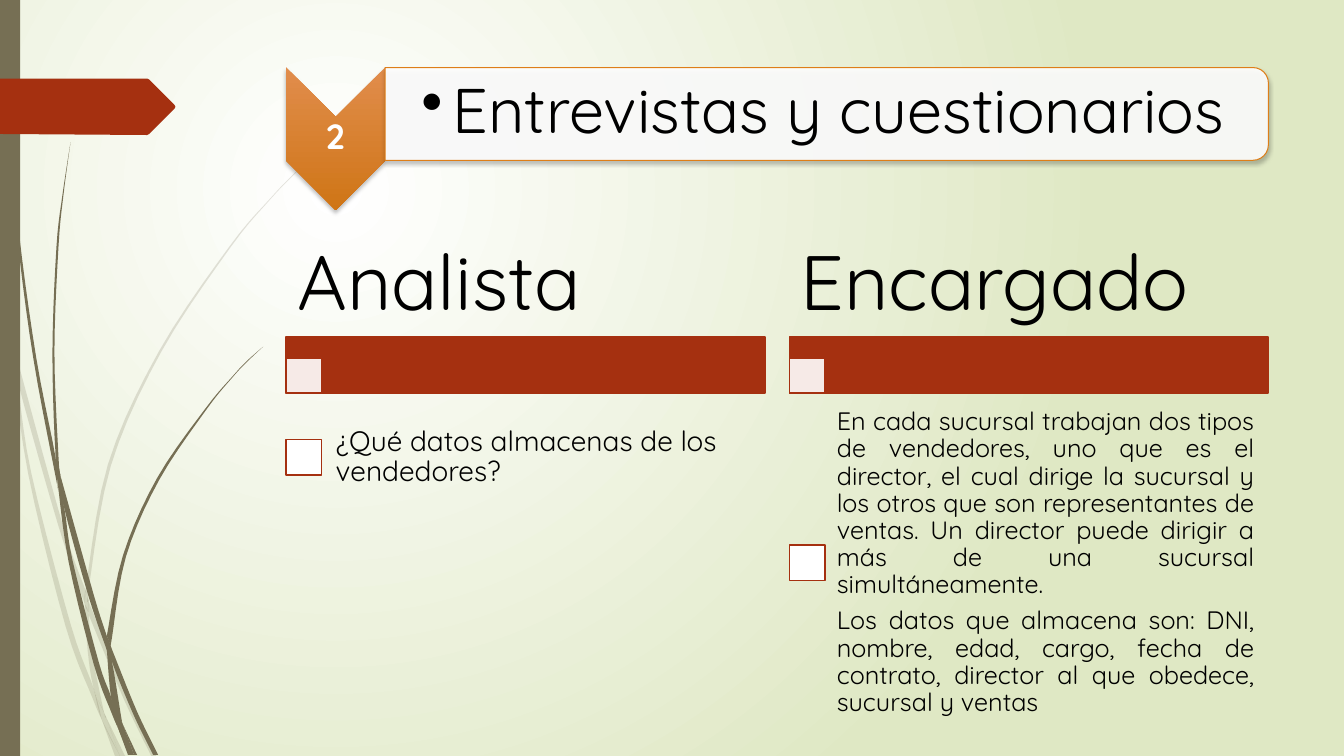
"""Build the slide on interviews and questionnaires: analyst and manager columns."""
from lxml import etree
from pptx import Presentation, util as u
from pptx.dml.color import RGBColor
from pptx.enum import shapes, text
from pptx.oxml import parse_xml
from pptx.oxml.ns import qn

NS = 'xmlns:a="http://schemas.openxmlformats.org/drawingml/2006/main"'
PNS = 'xmlns:p="http://schemas.openxmlformats.org/presentationml/2006/main"'
FONT = "Quicksand"
RUST, BROWN, WHITE, BLACK, ORANGE = "A53010", "766F54", "FFFFFF", "000000", "DE7E18"

NUMBER, TITLE = "2", "Entrevistas y cuestionarios"
COLUMNS = [
    dict(head="Analista", size=20, inset=0.16, height=0.81, align=text.PP_ALIGN.LEFT,
         body=["¿Qué datos almacenas de los vendedores?"]),
    dict(head="Encargado", size=18, inset=0.14, height=2.91, align=text.PP_ALIGN.JUSTIFY,
         body=["En cada sucursal trabajan dos tipos de vendedores, uno que es el director, "
               "el cual dirige la sucursal y los otros que son representantes de ventas. "
               "Un director puede dirigir a más de una sucursal simultáneamente.",
               "Los datos que almacena son: DNI, nombre, edad, cargo, fecha de contrato, "
               "director al que obedece, sucursal y ventas"]),
]
LEFT, STEP, COL_W, BOX = 2.84, 4.99, 4.75, 0.35
HEAD_TOP, HEAD_H, BAR_TOP, BAR_H, BODY_TOP, INDENT = 2.33, 1, 3.34, 0.56, 4.13, 0.33

PALE_BLADES = [
    ([(0, 2.82), (.09, 3.22), (.11, 3.5)], [(0, 2.99), (.1, 3.44), (.11, 3.5)]),
    ([(.14, 3.45), (.62, 5.2), (.85, 5.86)],
     [(.14, 3.45), (.17, 3.76), (.58, 5.22), (.84, 5.99)]),
    ([(.88, 5.96), (.92, 6.07), (1.27, 6.92), (1.55, 7.5)],
     [(.88, 6.1), (1.23, 6.94), (1.5, 7.5)]),
    ([(.11, 3.5), (.17, 3.76), (.31, 4.69), (.7, 6.19), (.93, 6.83), (1.01, 7.14)],
     [(.11, 3.5), (.28, 4.7), (.65, 6.21), (.92, 6.93), (1.01, 7.14)]),
    ([(.84, 5.99), (.87, 6.46), (.93, 6.83), (1.05, 7.11)],
     [(.84, 5.99), (.88, 6.1), (.91, 6.46), (1.03, 7.06), (1.05, 7.11)]),
    ([(3.12, 1.53), (2.89, 1.75), (2.68, 1.97), (2.28, 2.44), (1.58, 3.48), (1.07, 4.61),
      (.85, 5.84), (.85, 5.86)],
     [(3.12, 1.54), (2.9, 1.75), (2.68, 1.98), (2.29, 2.45), (1.6, 3.49), (1.1, 4.62),
      (.88, 5.84), (.88, 5.96)]),
    ([(1.01, 7.14), (1.14, 7.5)], [(1.01, 7.14), (1.19, 7.5)]),
    ([(.85, 5.86), (.88, 5.96), (.88, 6.1)], [(.85, 5.86), (.84, 5.99), (.88, 6.08)]),
    ([(.93, 6.83), (1.01, 7.14), (1.19, 7.5)],
     [(.93, 6.83), (.96, 6.92), (1.05, 7.11), (1.19, 7.5)]),
    ([(1.05, 7.11), (1.24, 7.5)], [(1.05, 7.11), (1.19, 7.5)]),
]
DARK_BLADES = [
    ([(.03, 0), (.04, .48), (.07, 1.1), (.17, 2.33), (.33, 3.55), (.56, 4.77), (.57, 4.81)],
     [(.04, 0), (.05, .48), (.08, 1.09), (.19, 2.32), (.36, 3.55), (.55, 4.53), (.57, 4.81)]),
    ([(.6, 4.72), (.64, 5.05), (.88, 5.92), (1.06, 6.45)],
     [(.6, 4.72), (.93, 5.9), (1.06, 6.31)]),
    ([(1.1, 6.41), (1.13, 6.49), (1.36, 7.06), (1.57, 7.49)],
     [(1.1, 6.41), (1.11, 6.56), (1.32, 7.08), (1.52, 7.49)]),
    ([(.57, 4.77), (.64, 5.05), (.72, 5.56), (.98, 6.57), (1.1, 6.91), (1.17, 7.22)],
     [(.57, 4.77), (.68, 5.57), (.93, 6.59), (1.11, 7.08), (1.17, 7.22)]),
    ([(.7, 1.41), (.63, 1.93), (.58, 2.45), (.54, 3.49), (.58, 4.53), (.6, 4.72)],
     [(.7, 1.41), (.62, 1.93), (.56, 2.45), (.52, 3.49), (.55, 4.49), (.6, 4.72)]),
    ([(.55, 4.49), (.6, 4.72), (.64, 5.05)], [(.55, 4.49), (.57, 4.77), (.64, 5.05)]),
    ([(2.61, 3.44), (2.45, 3.58), (2.31, 3.73), (2.04, 4.05), (1.56, 4.74), (1.22, 5.51),
      (1.06, 6.31)],
     [(2.61, 3.44), (2.45, 3.59), (2.31, 3.74), (2.05, 4.06), (1.58, 4.76), (1.25, 5.52),
      (1.11, 6.33), (1.1, 6.41)]),
    ([(1.17, 7.22), (1.27, 7.49)], [(1.17, 7.22), (1.31, 7.49)]),
    ([(1.06, 6.45), (1.1, 6.91), (1.16, 7.06), (1.22, 7.19)],
     [(1.06, 6.45), (1.11, 6.56), (1.21, 7.16), (1.22, 7.19)]),
    ([(1.06, 6.31), (1.06, 6.45), (1.11, 6.56)], [(1.06, 6.31), (1.1, 6.41), (1.11, 6.56)]),
    ([(1.1, 6.91), (1.17, 7.22), (1.3, 7.49)], [(1.1, 6.91), (1.22, 7.19), (1.33, 7.49)]),
    ([(1.22, 7.19), (1.33, 7.49)], [(1.22, 7.19), (1.36, 7.49)]),
]
ARROW = [(0, .78), (1.46, .78), (1.48, .79), (1.73, 1.04), (1.74, 1.06), (1.73, 1.08),
         (1.48, 1.33), (1.46, 1.34), (0, 1.33)]


def rgb(hex_color):
    return RGBColor.from_string(hex_color)


def paint(sp, fill, line=None, width=1.25, alpha=None):
    sp.shadow.inherit = False
    sp.fill.solid()
    sp.fill.fore_color.rgb = rgb(fill)
    if alpha:
        color = sp.element.spPr.find(qn("a:solidFill"))[0]
        etree.SubElement(color, qn("a:alpha")).set("val", str(alpha * 1000))
    if line:
        sp.line.color.rgb = rgb(line)
        sp.line.width = u.Pt(width)
    else:
        sp.line.fill.background()
    return sp


def add_block(kind, x, y, w, h):
    return s.shapes.add_shape(kind, u.Inches(x), u.Inches(y), u.Inches(w), u.Inches(h))


def add_outline(parent, points, fill, alpha=None):
    pts = [(u.Inches(x), u.Inches(y)) for x, y in points]
    builder = parent.build_freeform(*pts[0])
    builder.add_line_segments(pts[1:], close=True)
    paint(builder.convert_to_shape(), fill, alpha=alpha)


def smooth(knots, n=5):
    padded = [knots[0], *knots, knots[-1]]
    curve = [knots[0]]
    for a, b, c, d in zip(padded, padded[1:], padded[2:], padded[3:]):
        for t in (i / n for i in range(1, n + 1)):
            curve.append(tuple(
                q + t / 2 * (r - p + t * (2 * p - 5 * q + 4 * r - v + t * (3 * (q - r) + v - p)))
                for p, q, r, v in zip(a, b, c, d)))
    return curve


def add_shadow(sp):
    sp.element.spPr.find(qn("a:effectLst")).append(parse_xml(
        f'<a:outerShdw {NS} blurRad="38100" dist="25400" dir="5400000" rotWithShape="0">'
        f'<a:srgbClr val="{BLACK}"><a:alpha val="25000"/></a:srgbClr></a:outerShdw>'))


def write(sp, box, lines, size, insets, align=text.PP_ALIGN.LEFT, color=BLACK, bold=False,
          bullet=False):
    sp.left, sp.top, sp.width, sp.height = (u.Inches(v) for v in box)
    tf = sp.text_frame
    tf.text = "\n".join(lines)
    tf.word_wrap = True
    tf.auto_size = text.MSO_AUTO_SIZE.NONE
    tf.vertical_anchor = text.MSO_ANCHOR.MIDDLE
    tf.margin_left, tf.margin_top, tf.margin_right, tf.margin_bottom = map(u.Inches, insets)
    for p in tf.paragraphs:
        p.alignment, p.line_spacing = align, 0.9
        p.space_before, p.space_after = u.Pt(0), u.Pt(size * 0.35)
        hang = u.Inches(0.31 if bullet else 0)
        pPr = p._p.get_or_add_pPr()
        pPr.set("marL", str(hang))
        pPr.set("indent", str(-hang))
        mark = etree.SubElement(pPr, qn("a:buChar" if bullet else "a:buNone"))
        if bullet:
            mark.set("char", "•")
        font = p.runs[0].font
        font.name, font.size, font.bold = FONT, u.Pt(size), bold
        font.color.rgb = rgb(color)
    sp.element.getparent().append(sp.element)


def gradient(first, last, direction):
    return (f'<a:gradFill {NS} rotWithShape="0"><a:gsLst>'
            f'<a:gs pos="0"><a:srgbClr val="{first}"/></a:gs>'
            f'<a:gs pos="100000"><a:srgbClr val="{last}"/></a:gs></a:gsLst>{direction}</a:gradFill>')


prs = Presentation()
prs.slide_width, prs.slide_height = u.Inches(13.33), u.Inches(7.5)
s = prs.slides.add_slide(prs.slide_layouts[4])
rect = shapes.MSO_SHAPE.RECTANGLE

glow = gradient(WHITE, "DFE8C4", '<a:path path="circle"><a:fillToRect l="50000" t="50000" '
                'r="100000" b="100000"/></a:path>')
s.element.cSld.insert(0, parse_xml(f"<p:bg {PNS}><p:bgPr>{glow}<a:effectLst {NS}/></p:bgPr></p:bg>"))

for blades, alpha in ((PALE_BLADES, 20), (DARK_BLADES, None)):
    grass = s.shapes.add_group_shape().shapes
    for near, far in blades:
        add_outline(grass, smooth(near) + smooth(far)[::-1], BROWN, alpha)
paint(add_block(rect, 0, 0, 0.2, 7.5), BROWN)
add_outline(s.shapes, ARROW, RUST)

for i, col in enumerate(COLUMNS):
    x = LEFT + i * STEP
    paint(add_block(rect, x, BAR_TOP, COL_W, BAR_H), RUST, RUST)
    paint(add_block(rect, x, BAR_TOP + BAR_H - BOX, BOX, BOX), WHITE, RUST, alpha=90)
    box_top = BODY_TOP + (col["height"] - BOX) / 2
    paint(add_block(rect, x, box_top, BOX, BOX), WHITE, RUST)
    head, body = s.placeholders[1 + 2 * i], s.placeholders[2 + 2 * i]
    write(head, (x, HEAD_TOP, COL_W, HEAD_H), [col["head"]], 55, (0.11, 0.08, 0.11, 0.08))
    write(body, (x + INDENT, BODY_TOP, COL_W - INDENT, col["height"]), col["body"],
          col["size"], [col["inset"]] * 4, col["align"])

chevron = paint(add_block(shapes.MSO_SHAPE.CHEVRON, 2.62, 0.88, 1.42, 0.99), ORANGE)
chevron.rotation = 90
solid = chevron.element.spPr.find(qn("a:solidFill"))
solid.getparent().replace(solid, parse_xml(
    gradient("E18D4C", "CF7516", '<a:lin ang="5400000" scaled="0"/>')))
banner = paint(add_block(shapes.MSO_SHAPE.ROUND_2_SAME_RECTANGLE, 7.74, -3.25, 0.92, 8.76),
               WHITE, ORANGE, 0.75, 90)
banner.rotation = 90
for sp in (chevron, banner):
    add_shadow(sp)
write(s.shapes.add_textbox(0, 0, 0, 0), (2.83, 1.16, 0.99, 0.43), [NUMBER], 25, [0.02] * 4,
      text.PP_ALIGN.CENTER, WHITE, True)
write(s.shapes.title, (3.83, 0.71, 8.71, 0.83), [TITLE], 45, (0.35, 0.03, 0.03, 0.03), bullet=True)

prs.save("out.pptx")
